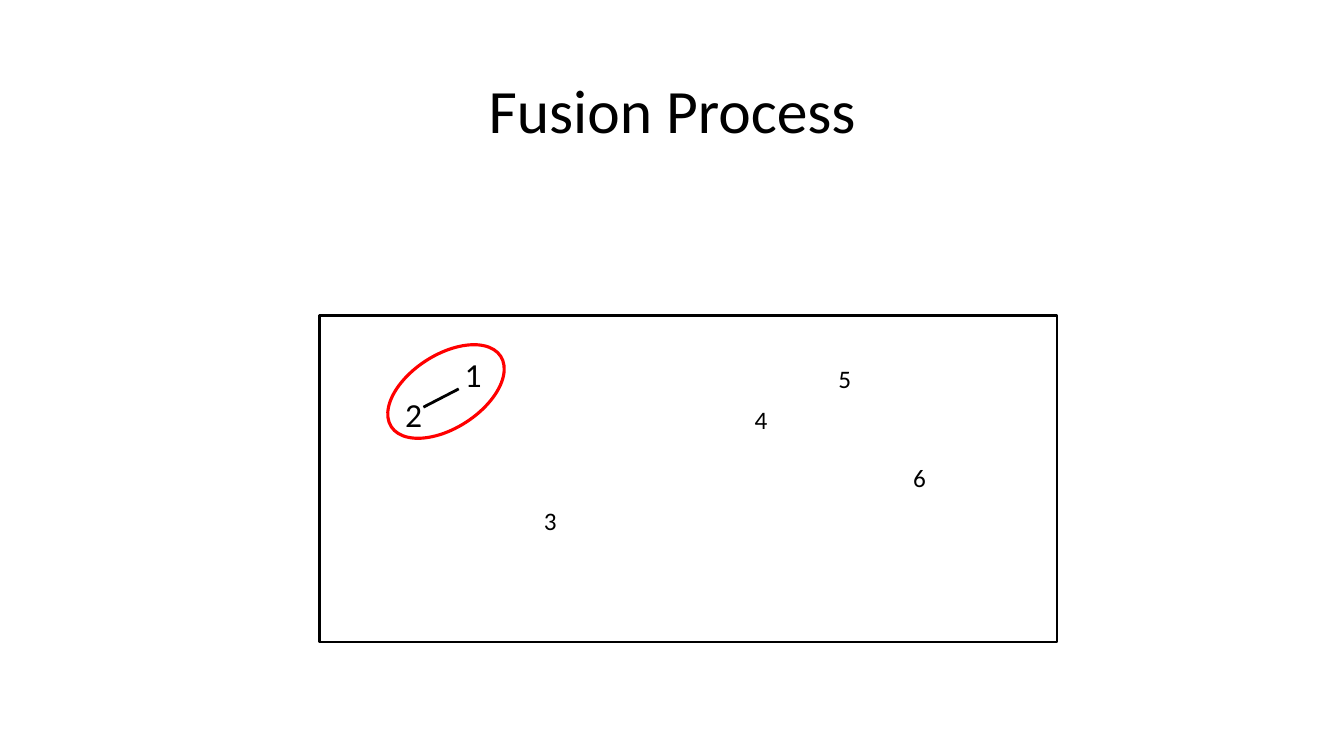
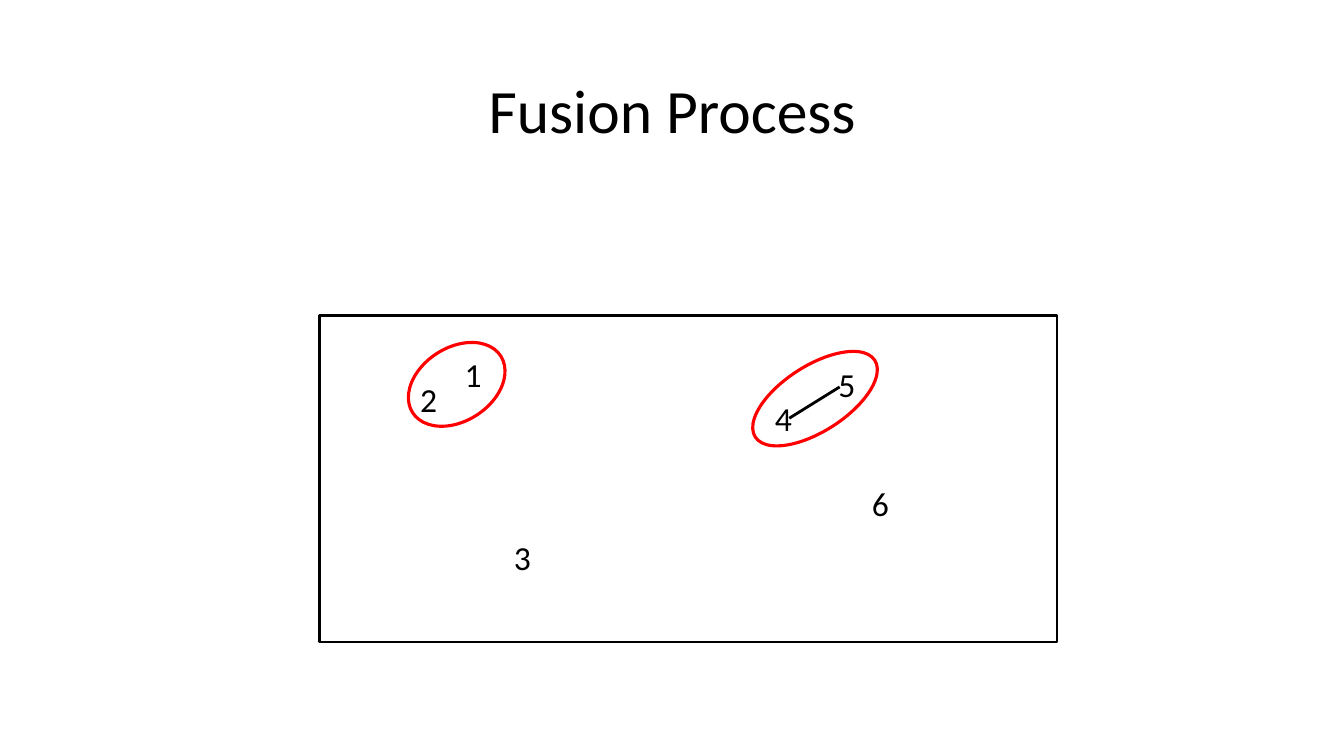
from lxml import etree
from pptx import Presentation
from pptx.dml.color import RGBColor
from pptx.enum.shapes import MSO_CONNECTOR, MSO_SHAPE
from pptx.enum.text import MSO_ANCHOR, MSO_AUTO_SIZE, PP_ALIGN
from pptx.oxml.ns import qn
from pptx.util import Cm, Pt

RECTANGLE = MSO_SHAPE.RECTANGLE
ELLIPSE = MSO_SHAPE.OVAL
STRAIGHT = MSO_CONNECTOR.STRAIGHT
MIDDLE = MSO_ANCHOR.MIDDLE
CENTER = PP_ALIGN.CENTER
FIT_TEXT = MSO_AUTO_SIZE.SHAPE_TO_FIT_TEXT

SMALL, LARGE = 18, 24
LABEL_SIZES = {SMALL: (0.84, 1.02), LARGE: (0.94, 1.27)}

STEPS = [
    {
        "labels": [
            ("2", 9.96, 9.8, LARGE),
            ("1", 11.46, 8.79, LARGE),
            ("3", 13.46, 12.6, SMALL),
            ("5", 20.88, 9.04, SMALL),
            ("4", 18.77, 10.06, SMALL),
            ("6", 22.76, 11.53, SMALL),
        ],
        "clusters": [(9.6, 8.94, 3.28, 1.85)],
        "link": (10.67, 10.26, 11.56, 9.8),
    },
    {
        "labels": [
            ("2", 10.34, 9.42, LARGE),
            ("1", 11.46, 8.79, LARGE),
            ("3", 12.7, 13.41, LARGE),
            ("5", 20.88, 9.04, LARGE),
            ("4", 19.28, 9.91, LARGE),
            ("6", 21.72, 12.04, LARGE),
        ],
        "clusters": [(10.19, 8.76, 2.64, 1.85), (18.75, 9.22, 3.58, 1.65)],
        "link": (19.89, 10.54, 21.16, 9.75),
    },
]


def color(value):
    return RGBColor.from_string(value)


class Deck:
    font = "Calibri"
    ink = "000000"
    accent = "FF0000"
    tilt = 327.3

    def __init__(self):
        self.presentation = Presentation()
        self.presentation.slide_width = Cm(33.87)
        self.presentation.slide_height = Cm(19.05)
        self.slide = None

    def add_slide(self):
        blank = self.presentation.slide_layouts[6]
        self.slide = self.presentation.slides.add_slide(blank)

    def text(self, content, left, top, width, height, size):
        shape = self.slide.shapes.add_textbox(*map(Cm, (left, top, width, height)))
        paragraph = shape.text_frame.paragraphs[0]
        run = paragraph.add_run()
        run.text = content
        run.font.name = self.font
        run.font.size = Pt(size)
        run.font.color.rgb = color(self.ink)
        return shape.text_frame

    def title(self, content):
        frame = self.text(content, 2.34, 1.02, 29.21, 3.68, 44)
        frame.word_wrap = True
        frame.vertical_anchor = MIDDLE
        frame.paragraphs[0].alignment = CENTER
        frame.paragraphs[0].line_spacing = 0.9

    def label(self, content, left, top, size):
        frame = self.text(content, left, top, *LABEL_SIZES[size], size)
        frame.word_wrap = False
        frame.auto_size = FIT_TEXT

    def outline(self, kind, bounds, line_color, weight):
        shape = self.slide.shapes.add_shape(kind, *map(Cm, bounds))
        shape.shadow.inherit = False
        shape.fill.background()
        shape.line.color.rgb = color(line_color)
        shape.line.width = Pt(weight)
        return shape

    def frame(self):
        self.outline(RECTANGLE, (8.05, 7.95, 18.59, 8.23), self.ink, 2)

    def cluster(self, bounds):
        self.outline(ELLIPSE, bounds, self.accent, 2.25).rotation = self.tilt

    def link(self, ends):
        connector = self.slide.shapes.add_connector(STRAIGHT, *map(Cm, ends))
        connector.line.color.rgb = color(self.ink)
        connector.line.width = Pt(2)
        etree.SubElement(connector._element.spPr, qn("a:effectLst"))


def main():
    deck = Deck()
    for step in STEPS:
        deck.add_slide()
        deck.title("Fusion Process")
        deck.frame()
        for label in step["labels"]:
            deck.label(*label)
        for bounds in step["clusters"]:
            deck.cluster(bounds)
        deck.link(step["link"])
    deck.presentation.save("out.pptx")


if __name__ == "__main__":
    main()
